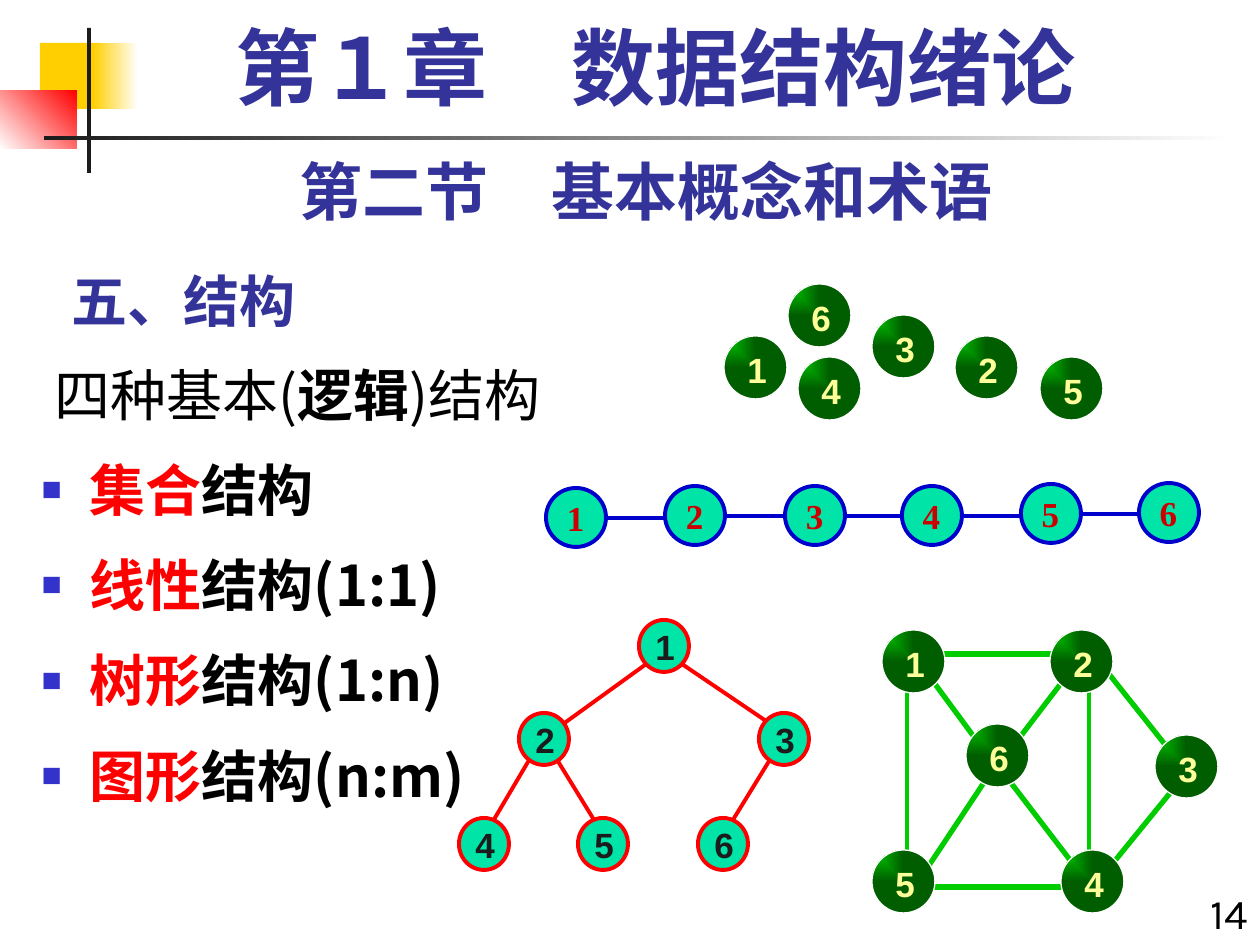
from lxml import etree
from pptx import Presentation
from pptx.dml.color import RGBColor
from pptx.enum.shapes import MSO_CONNECTOR, MSO_SHAPE
from pptx.enum.text import MSO_ANCHOR, MSO_AUTO_SIZE, PP_ALIGN
from pptx.oxml.ns import qn
from pptx.util import Pt

PX = 914400 / 126
RECT, OVAL = MSO_SHAPE.RECTANGLE, MSO_SHAPE.OVAL
STRAIGHT = MSO_CONNECTOR.STRAIGHT
LEFT, CENTER, RIGHT = PP_ALIGN.LEFT, PP_ALIGN.CENTER, PP_ALIGN.RIGHT
TOP, BOTTOM = MSO_ANCHOR.TOP, MSO_ANCHOR.BOTTOM
NO_FIT = MSO_AUTO_SIZE.NONE

WHITE = RGBColor(0xFF, 0xFF, 0xFF)
BLACK = RGBColor(0x00, 0x00, 0x00)
CHARCOAL = RGBColor(0x1C, 0x1C, 0x1C)
GOLD = RGBColor(0xFF, 0xCF, 0x01)
RED = RGBColor(0xFF, 0x00, 0x00)
DARK_RED = RGBColor(0xCC, 0x00, 0x00)
INDIGO = RGBColor(0x33, 0x33, 0x99)
BLUE = RGBColor(0x00, 0x00, 0xCC)
MINT = RGBColor(0x00, 0xE4, 0xA8)
GREEN = RGBColor(0x00, 0xCC, 0x00)
DARK_GREEN = RGBColor(0x00, 0x5E, 0x00)
CREAM = RGBColor(0xFF, 0xFF, 0x99)

CJK, KARLA = "Noto Sans CJK SC", "Karla"
ARIAL, TIMES = "Arial", "Times New Roman"


def px(*lengths):
    return [round(length * PX) for length in lengths]


def place(placeholder, *box):
    placeholder.left, placeholder.top, placeholder.width, placeholder.height = px(*box)


def write(paragraph, text, *, size, font, color, bold=True):
    run = paragraph.add_run()
    run.text = text
    run.font.size = Pt(size)
    run.font.bold = bold
    run.font.color.rgb = color
    run.font.name = font
    etree.SubElement(run.font._element, qn("a:ea"), typeface=CJK)


def add_text(shapes, box, text, *, align=LEFT, wrap=True, inset=6, spacing=None, **style):
    frame = shapes.add_textbox(*px(*box)).text_frame
    frame.word_wrap = wrap
    frame.margin_top, frame.margin_bottom = px(inset, inset)
    paragraph = frame.paragraphs[0]
    paragraph.alignment = align
    if spacing:
        paragraph.line_spacing = spacing
    write(paragraph, text, **style)


def add_filled(shapes, kind, box, colors, *, angle=0, outline=None, weight=0.75):
    shape = shapes.add_shape(kind, *px(*box))
    shape.shadow.inherit = False
    if len(colors) == 1:
        shape.fill.solid()
        shape.fill.fore_color.rgb = colors[0]
    else:
        shape.fill.gradient()
        shape.fill.gradient_angle = angle
        for stop, color in zip(shape.fill.gradient_stops, colors):
            stop.color.rgb = color
    if outline is None:
        shape.line.fill.background()
    else:
        shape.line.color.rgb = outline
        shape.line.width = Pt(weight)
    return shape


def add_edge(shapes, ends, color, weight=2.25):
    edge = shapes.add_connector(STRAIGHT, *px(*ends))
    edge.line.color.rgb = color
    edge.line.width = Pt(weight)
    etree.SubElement(edge._element.spPr, qn("a:effectLst"))


def add_ball(shapes, number, x, y):
    """Glossy green ball, lit from its top left corner."""
    ball = add_filled(shapes, OVAL, (x, y, 63, 63), (GREEN, DARK_GREEN), outline=WHITE)
    gradient = ball._element.spPr.find(qn("a:gradFill"))
    gradient.remove(gradient.find(qn("a:lin")))
    glow = etree.SubElement(gradient, qn("a:path"), path="rect")
    etree.SubElement(glow, qn("a:fillToRect"), r="100000", b="100000")
    add_text(shapes, (x + 11, y + 6, 45, 54), number, wrap=False,
             size=20, font=ARIAL, color=CREAM)


def format_item(paragraph, *, bullet, first):
    """Hanging indent, with a small blue square if it is a bullet."""
    props = paragraph._p.get_or_add_pPr()
    hang = px(48)[0]
    props.set("marL", str(hang))
    props.set("indent", str(-hang))
    before = etree.SubElement(props, qn("a:spcBef"))
    etree.SubElement(before, qn("a:spcPct"), val="0" if first else "50000")
    if not bullet:
        etree.SubElement(props, qn("a:buNone"))
        return
    tint = etree.SubElement(props, qn("a:buClr"))
    etree.SubElement(tint, qn("a:srgbClr"), val="3333CC")
    etree.SubElement(props, qn("a:buSzPct"), val="60000")
    etree.SubElement(props, qn("a:buFont"), typeface=ARIAL)
    etree.SubElement(props, qn("a:buChar"), char="■")


def add_decoration(shapes):
    add_filled(shapes, RECT, (40, 43, 60, 66), (GOLD,))
    add_filled(shapes, RECT, (93, 43, 45, 66), (GOLD, WHITE))
    add_filled(shapes, RECT, (0, 91, 77, 58), (WHITE, RED), angle=45)
    add_filled(shapes, RECT, (87, 28, 4, 145), (CHARCOAL,))
    add_filled(shapes, RECT, (44, 136, 1191, 4), (CHARCOAL, WHITE))


def fill_title(title):
    place(title, 59, 246, 850, 94)
    frame = title.text_frame
    frame.auto_size = NO_FIT
    frame.vertical_anchor = BOTTOM
    frame.paragraphs[0].alignment = LEFT
    write(frame.paragraphs[0], "五、结构", size=32, font=CJK, color=INDIGO)


def fill_body(body):
    place(body, 29, 354, 1207, 536)
    frame = body.text_frame
    frame.auto_size = NO_FIT
    frame.vertical_anchor = TOP
    intro = frame.paragraphs[0]
    format_item(intro, bullet=False, first=True)
    for text, bold in ((" 四种基本(", False), ("逻辑", True), (")结构", False)):
        write(intro, text, size=32, font=CJK, color=BLACK, bold=bold)
    for kind, ratio in (("集合", ""), ("线性", "(1:1)"), ("树形", "(1:n)"), ("图形", "(n:m)")):
        item = frame.add_paragraph()
        format_item(item, bullet=True, first=False)
        write(item, kind, size=32, font=CJK, color=RED)
        write(item, "结构" + ratio, size=32, font=CJK, color=BLACK)


def add_set(shapes):
    spots = {"1": (724, 336), "2": (955, 336), "5": (1040, 357),
             "4": (798, 357), "3": (872, 315), "6": (788, 284)}
    for number, spot in spots.items():
        add_ball(shapes, number, *spot)


def add_chain(shapes):
    lefts = (546, 665, 785, 902, 1021, 1139)
    tops = (488, 486, 486, 486, 484, 483)
    for x, y, following in zip(lefts, tops, lefts[1:]):
        add_edge(shapes, (x + 60, y + 30, following, y + 30), BLUE)
    for number, (x, y) in enumerate(zip(lefts, tops), 1):
        add_filled(shapes, OVAL, (x, y, 60, 59), (MINT,), outline=BLUE, weight=2.25)
        add_text(shapes, (x + 8, y + 7, 43, 50), str(number), align=CENTER, wrap=False,
                 spacing=0.9, size=20, font=TIMES, color=DARK_RED)


def add_tree(shapes):
    for ends in ((679, 662, 769, 723), (649, 662, 548, 735), (548, 745, 599, 828),
                 (779, 745, 728, 828), (538, 745, 489, 828)):
        add_edge(shapes, ends, RED)
    spots = {"1": (639, 620), "2": (519, 713), "3": (759, 713),
             "4": (459, 818), "5": (578, 818), "6": (698, 818)}
    for number, (x, y) in spots.items():
        add_filled(shapes, OVAL, (x, y, 50, 52), (MINT,), outline=RED, weight=2.25)
        add_text(shapes, (x + 4, y + 5, 45, 42), number, wrap=False, inset=0,
                 size=20, font=ARIAL, color=CHARCOAL)


def add_graph(shapes):
    for ends in ((1072, 669, 1014, 745), (1179, 782, 1105, 873), (989, 775, 924, 873),
                 (1005, 775, 1080, 873), (931, 887, 1063, 887), (931, 654, 1063, 654),
                 (1105, 669, 1171, 752), (924, 669, 980, 745)):
        add_edge(shapes, ends, GREEN, 3)
    for x in (907, 1089):
        add_edge(shapes, (x, 677, x, 864), GREEN)
    spots = {"1": (882, 630), "2": (1050, 630), "3": (1155, 735),
             "4": (1061, 850), "5": (872, 850), "6": (966, 724)}
    for number, spot in spots.items():
        add_ball(shapes, number, *spot)


def main():
    deck = Presentation()
    deck.slide_width, deck.slide_height = px(1260, 945)
    slide = deck.slides.add_slide(deck.slide_layouts[1])
    shapes = slide.shapes

    # Headings, list and page number
    add_decoration(shapes)
    fill_title(shapes.title)
    add_text(shapes, (1176, 882, 84, 63), "14", align=RIGHT,
             size=24, font=KARLA, color=BLACK, bold=False)
    add_text(shapes, (63, 147, 1166, 88), "第二节　基本概念和术语", align=CENTER,
             size=36, font=KARLA, color=INDIGO)
    fill_body(slide.placeholders[1])
    add_text(shapes, (84, 21, 1144, 105), "第１章　数据结构绪论", align=CENTER,
             spacing=0.9, size=48, font=TIMES, color=INDIGO)

    # One grouped diagram for each kind of structure
    for add_diagram in (add_tree, add_set, add_chain, add_graph):
        add_diagram(shapes.add_group_shape().shapes)

    deck.save("out.pptx")


if __name__ == "__main__":
    main()
